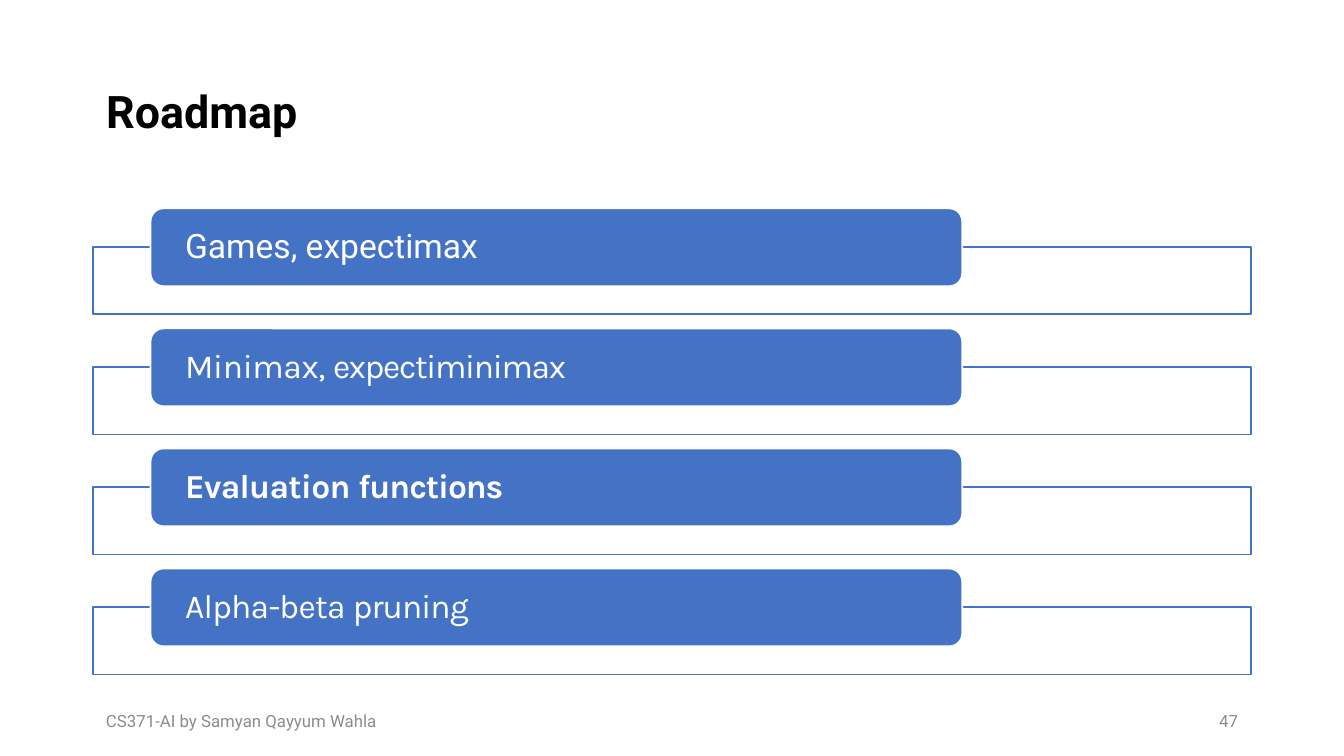
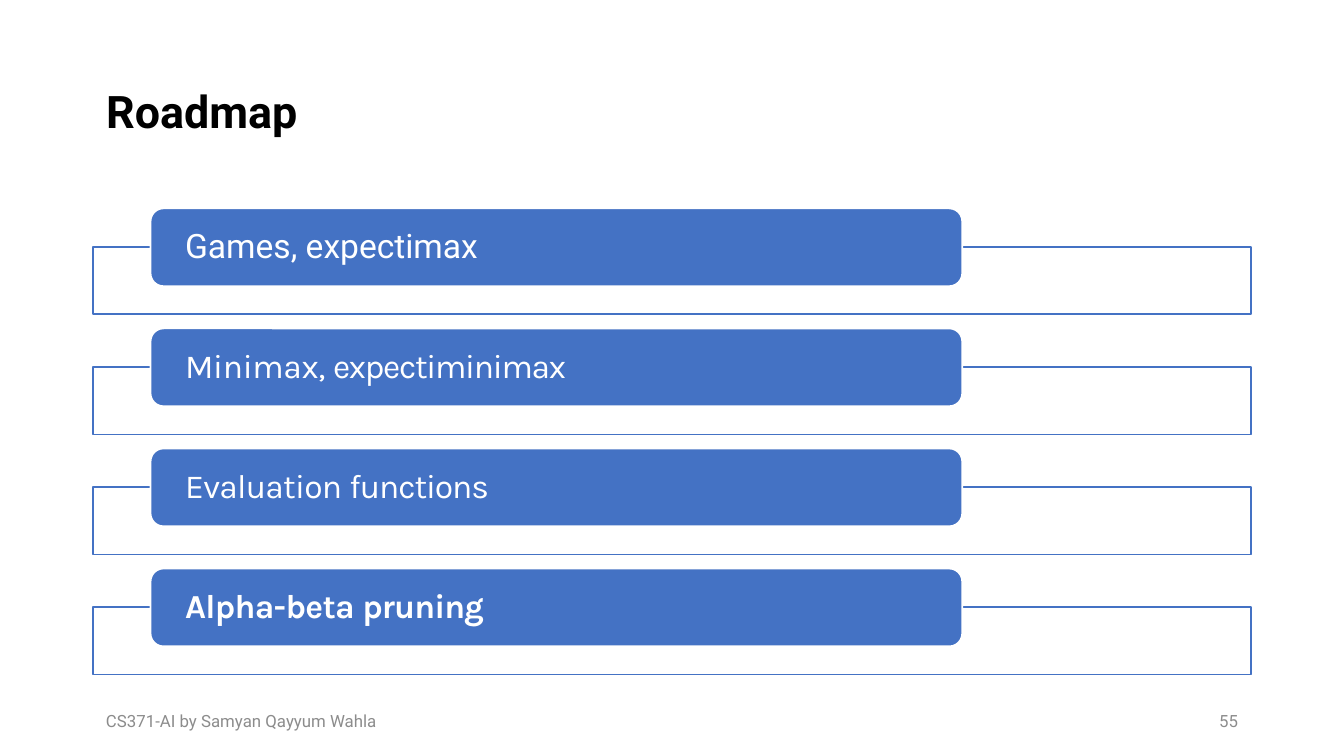
from dataclasses import dataclass

from lxml.etree import SubElement
from pptx import Presentation
from pptx.dml.color import RGBColor
from pptx.enum.shapes import MSO_SHAPE
from pptx.enum.text import MSO_ANCHOR, PP_ALIGN
from pptx.oxml.ns import qn
from pptx.shapes.autoshape import Shape
from pptx.slide import Slide
from pptx.text.text import TextFrame, _Paragraph
from pptx.util import Inches, Pt

# Shared style
COLORS = {"blue": "4472C4", "white": "FFFFFF", "black": "000000", "gray": "8C8C8C"}
TITLE_FONT, TOPIC_FONT = "Roboto", "Karla"
LEFT, WIDTH = 0.69, 8.62
FOOTER_TOP, FOOTER_WIDTH, FOOTER_HEIGHT = 5.21, 2.25, 0.3
FOOTER = "CS371-AI by Samyan Qayyum Wahla"

# Roadmap rows: a bar overlapping the top edge of an outlined panel
FIRST_BAR, LAST_BAR = 1.55, 4.23
BAR_LEFT, BAR_WIDTH, BAR_HEIGHT = 1.12, 6.04, 0.58
PANEL_OFFSET, PANEL_HEIGHT = 0.29, 0.5


@dataclass(frozen=True)
class Run:
    text: str
    spacing: float = 0  # points between letters


@dataclass(frozen=True)
class Topic:
    runs: tuple[Run, ...]
    font: str = TOPIC_FONT


@dataclass(frozen=True)
class Roadmap:
    number: int
    current: int  # index of the topic in bold


TOPICS = (
    Topic((Run("Games, expectimax"),), TITLE_FONT),
    Topic((Run("Minimax, ", -0.2), Run("expectiminimax", -0.7))),
    Topic((Run("Evaluation ", -0.4), Run("functions", -0.6))),
    Topic((Run("Alpha-beta ", -0.4), Run("pruning", -0.5))),
)
SLIDES = (Roadmap(47, current=2), Roadmap(55, current=3))


def rgb(name: str) -> RGBColor:
    return RGBColor.from_string(COLORS[name])


def add_run(p: _Paragraph, run: Run, size: float, color: str,
            font: str = TITLE_FONT, bold: bool = False) -> None:
    r = p.add_run()
    r.text = run.text
    r.font.name = font
    r.font.size = Pt(size)
    r.font.bold = bold
    r.font.color.rgb = rgb(color)
    if run.spacing:
        r._r.get_or_add_rPr().set("spc", str(round(run.spacing * 100)))


def start_text(tf: TextFrame, align: PP_ALIGN = PP_ALIGN.LEFT) -> _Paragraph:
    tf.word_wrap = True
    tf.vertical_anchor = MSO_ANCHOR.MIDDLE
    p = tf.paragraphs[0]
    p.alignment = align
    return p


def add_box(s: Slide, kind: MSO_SHAPE, left: float, top: float, width: float,
            height: float, fill: str, line: str) -> Shape:
    sp = s.shapes.add_shape(kind, Inches(left), Inches(top), Inches(width), Inches(height))
    sp.shadow.inherit = False
    sp.fill.solid()
    sp.fill.fore_color.rgb = rgb(fill)
    sp.line.color.rgb = rgb(line)
    sp.line.width = Pt(1)
    return sp


def add_title(s: Slide, text: str) -> None:
    title = s.shapes.title
    title.left, title.top = Inches(LEFT), Inches(0.3)
    title.width, title.height = Inches(WIDTH), Inches(1.09)
    p = start_text(title.text_frame)
    p.line_spacing = 0.9
    add_run(p, Run(text), 24, "black", bold=True)


def add_topic(s: Slide, topic: Topic, top: float, bold: bool) -> None:
    panel = add_box(s, MSO_SHAPE.RECTANGLE, LEFT, top + PANEL_OFFSET,
                    WIDTH, PANEL_HEIGHT, "white", "blue")
    fill_color = panel._element.spPr.find(qn("a:solidFill"))[0]
    SubElement(fill_color, qn("a:alpha")).set("val", "90000")

    bar = add_box(s, MSO_SHAPE.ROUNDED_RECTANGLE, BAR_LEFT, top,
                  BAR_WIDTH, BAR_HEIGHT, "blue", "white")
    tf = bar.text_frame
    tf.margin_left = tf.margin_right = Inches(0.23)
    tf.margin_top = tf.margin_bottom = 0
    p = start_text(tf)
    p.line_spacing = 0.9
    for run in topic.runs:
        add_run(p, run, 18, "white", topic.font, bold)


def add_footer(s: Slide, text: str, left: float, align: PP_ALIGN) -> None:
    box = s.shapes.add_textbox(Inches(left), Inches(FOOTER_TOP),
                               Inches(FOOTER_WIDTH), Inches(FOOTER_HEIGHT))
    add_run(start_text(box.text_frame, align), Run(text), 9, "gray")


def add_roadmap(prs: Presentation, roadmap: Roadmap) -> None:
    s = prs.slides.add_slide(prs.slide_layouts[5])
    add_title(s, "Roadmap")
    step = (LAST_BAR - FIRST_BAR) / (len(TOPICS) - 1)
    for i, topic in enumerate(TOPICS):
        add_topic(s, topic, FIRST_BAR + i * step, bold=i == roadmap.current)
    add_footer(s, FOOTER, LEFT, PP_ALIGN.LEFT)
    add_footer(s, str(roadmap.number), LEFT + WIDTH - FOOTER_WIDTH, PP_ALIGN.RIGHT)


def main() -> None:
    prs = Presentation()
    # Widescreen, 16:9
    prs.slide_width = Inches(10)
    prs.slide_height = Inches(10 * 9 / 16)
    for roadmap in SLIDES:
        add_roadmap(prs, roadmap)
    prs.save("out.pptx")


if __name__ == "__main__":
    main()
